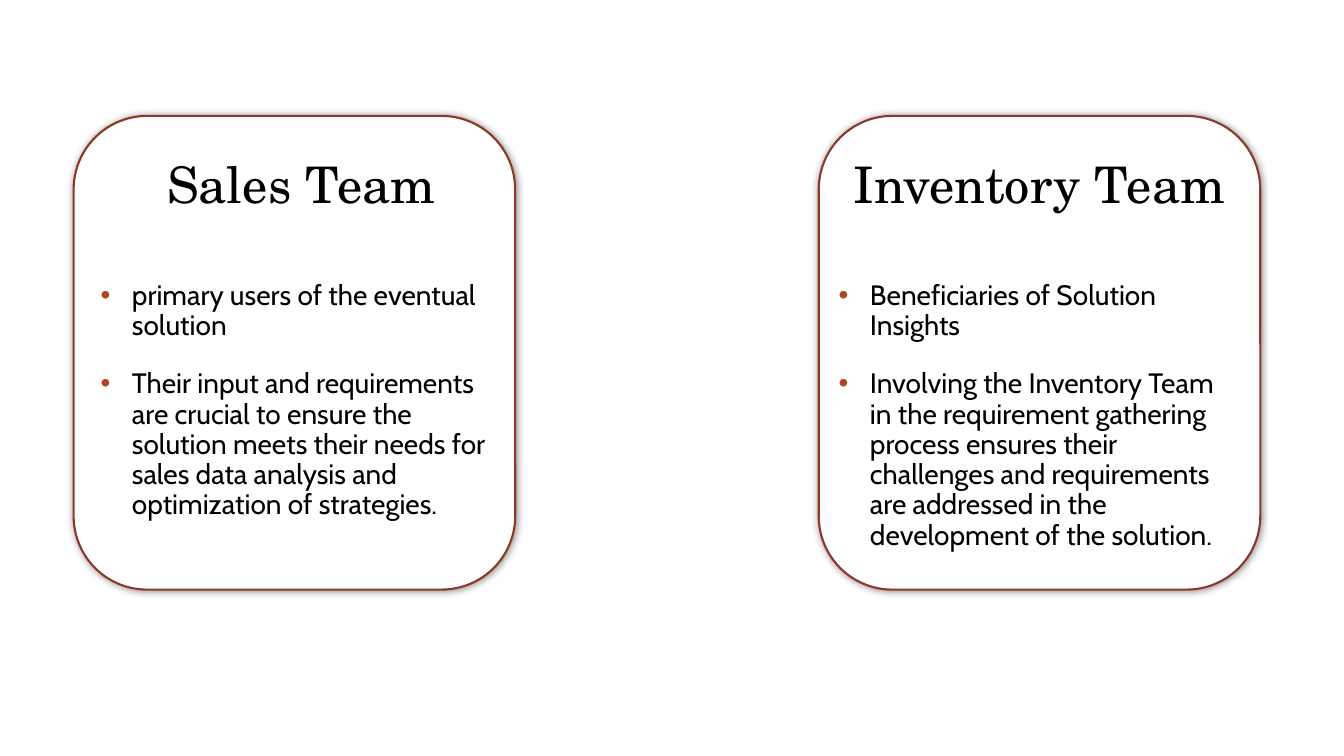
import pptx
import pptx.dml.color
import pptx.enum.shapes
import pptx.enum.text
import pptx.oxml
import pptx.oxml.ns
import pptx.util
from lxml import etree

Inches = pptx.util.Inches
Pt = pptx.util.Pt


class TeamSlide:
    """Draws team cards on one slide in a shared style."""

    colours = {"card": "FFFFFF", "border": "8C3A27", "bullet": "AF4627",
               "text": "000000", "shadow": "000000"}
    heading_font = "TeX Gyre Schola"
    body_font = "Cabin"

    def __init__(self, slide):
        self.slide = slide

    def colour(self, name):
        return pptx.dml.color.RGBColor.from_string(self.colours[name])

    def card(self, left):
        card = self.slide.shapes.add_shape(
            pptx.enum.shapes.MSO_SHAPE.ROUNDED_RECTANGLE,
            Inches(left), Inches(1.15), Inches(4.38), Inches(4.7))
        card.fill.solid()
        card.fill.fore_color.rgb = self.colour("card")
        card.line.color.rgb = self.colour("border")
        card.line.width = Pt(1.5)
        card.shadow.inherit = False
        effects = card._element.spPr.find(pptx.oxml.ns.qn("a:effectLst"))
        effects.append(pptx.oxml.parse_xml(
            f'<a:outerShdw {pptx.oxml.ns.nsdecls("a")} blurRad="{Pt(5)}" dist="0" '
            f'algn="ctr" rotWithShape="0"><a:srgbClr val="{self.colours["shadow"]}">'
            '<a:alpha val="40000"/></a:srgbClr></a:outerShdw>'))

    def text_frame(self, left, top, height):
        frame = self.slide.shapes.add_textbox(
            Inches(left), Inches(top), Inches(4.18), Inches(height)).text_frame
        frame.word_wrap = True
        return frame

    def style(self, paragraph, font_name, size):
        paragraph.line_spacing = 0.9
        paragraph.font.name = font_name
        paragraph.font.size = Pt(size)
        paragraph.font.color.rgb = self.colour("text")

    def heading(self, left, team):
        frame = self.text_frame(left, 1.08, 1.56)
        frame.vertical_anchor = pptx.enum.text.MSO_ANCHOR.MIDDLE
        heading = frame.paragraphs[0]
        heading.text = team
        heading.alignment = pptx.enum.text.PP_ALIGN.CENTER
        self.style(heading, self.heading_font, 36)

    def add_bullet(self, paragraph):
        properties = paragraph._p.get_or_add_pPr()
        properties.set("marL", str(Inches(0.31)))
        properties.set("indent", str(-Inches(0.31)))
        bullet_colour = etree.SubElement(properties, pptx.oxml.ns.qn("a:buClr"))
        etree.SubElement(bullet_colour, pptx.oxml.ns.qn("a:srgbClr"),
                         val=self.colours["bullet"])
        etree.SubElement(properties, pptx.oxml.ns.qn("a:buFont"), typeface="Arial")
        etree.SubElement(properties, pptx.oxml.ns.qn("a:buChar"), char="•")

    def bullets(self, left, points):
        frame = self.text_frame(left, 2.74, 4.7)
        for index, point in enumerate(points):
            paragraph = frame.add_paragraph() if index else frame.paragraphs[0]
            paragraph.text = point
            self.add_bullet(paragraph)
            paragraph.space_before = Pt(10 if index else 0)
            paragraph.space_after = Pt(10)
            self.style(paragraph, self.body_font, 20)


TEAMS = [
    (0.73, 0.9, "Sales Team", [
        "primary users of the eventual solution",
        "Their input and requirements are crucial to ensure the solution meets "
        "their needs for sales data analysis and optimization of strategies."]),
    (8.12, 8.22, "Inventory Team", [
        "Beneficiaries of Solution Insights",
        "Involving the Inventory Team in the requirement gathering process ensures "
        "their challenges and requirements are addressed in the development of "
        "the solution."]),
]


def main():
    presentation = pptx.Presentation()
    presentation.slide_width = Inches(13.33)
    presentation.slide_height = Inches(7.5)
    page = TeamSlide(presentation.slides.add_slide(presentation.slide_layouts[6]))
    for card_left, text_left, team, points in TEAMS:
        page.card(card_left)
        page.heading(text_left, team)
        page.bullets(text_left, points)
    presentation.save("out.pptx")


if __name__ == "__main__":
    main()
